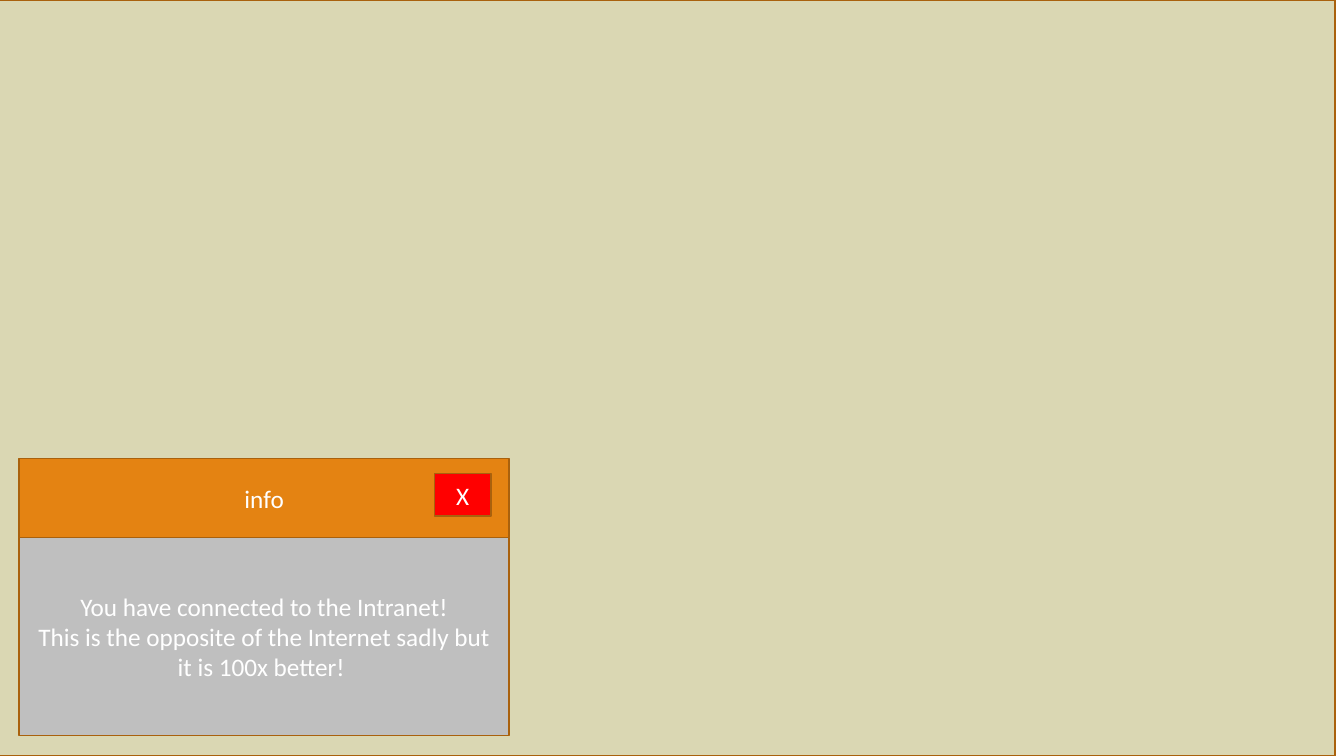
from pptx import Presentation
from pptx import util as u
from pptx.dml.color import RGBColor
from pptx.enum import shapes, text

SAND = RGBColor(0xDA, 0xD7, 0xB3)
GREY = RGBColor(0xBF, 0xBF, 0xBF)
ORANGE = RGBColor(0xE4, 0x83, 0x12)
BROWN = RGBColor(0xA9, 0x61, 0x0D)
RED = RGBColor(0xFF, 0x00, 0x00)
WHITE = RGBColor(0xFF, 0xFF, 0xFF)

PX = u.Inches(1) // 100
WIDTH, HEIGHT = 1333, 750


class Desktop:
    """Draws outlined panels on one slide in a shared style."""

    font = "Calibri"
    size = u.Pt(18)
    border = u.Pt(1)

    def __init__(self, slide):
        self.s = slide

    def panel(self, x, y, w, h, fill, lines=()):
        sp = self.s.shapes.add_shape(
            shapes.MSO_SHAPE.RECTANGLE, x * PX, y * PX, w * PX, h * PX)
        sp.shadow.inherit = False
        sp.fill.solid()
        sp.fill.fore_color.rgb = fill
        sp.line.color.rgb = BROWN
        sp.line.width = self.border
        tf = sp.text_frame
        tf.word_wrap = True
        tf.vertical_anchor = text.MSO_ANCHOR.MIDDLE
        for i, line in enumerate(lines):
            p = tf.add_paragraph() if i else tf.paragraphs[0]
            p.text = line
            p.alignment = text.PP_ALIGN.CENTER
            p.font.name = self.font
            p.font.size = self.size
            p.font.color.rgb = WHITE

    def window(self, x, y, w, bar_h, body_h, title, message):
        self.panel(x, y + bar_h, w, body_h, GREY, message)
        self.panel(x, y, w, bar_h, ORANGE, [title])
        self.panel(x + w - 74, y + 15, 56, 42, RED, ["X"])


def main():
    prs = Presentation()
    prs.slide_width, prs.slide_height = WIDTH * PX, HEIGHT * PX
    desktop = Desktop(prs.slides.add_slide(prs.slide_layouts[6]))
    desktop.panel(-9, 0, WIDTH, HEIGHT, SAND)
    desktop.window(19, 455, 486, 78, 197, "info", [
        "You have connected to the Intranet!",
        "This is the opposite of the Internet sadly but it is 100x better! ",
    ])
    prs.save("out.pptx")


if __name__ == "__main__":
    main()
